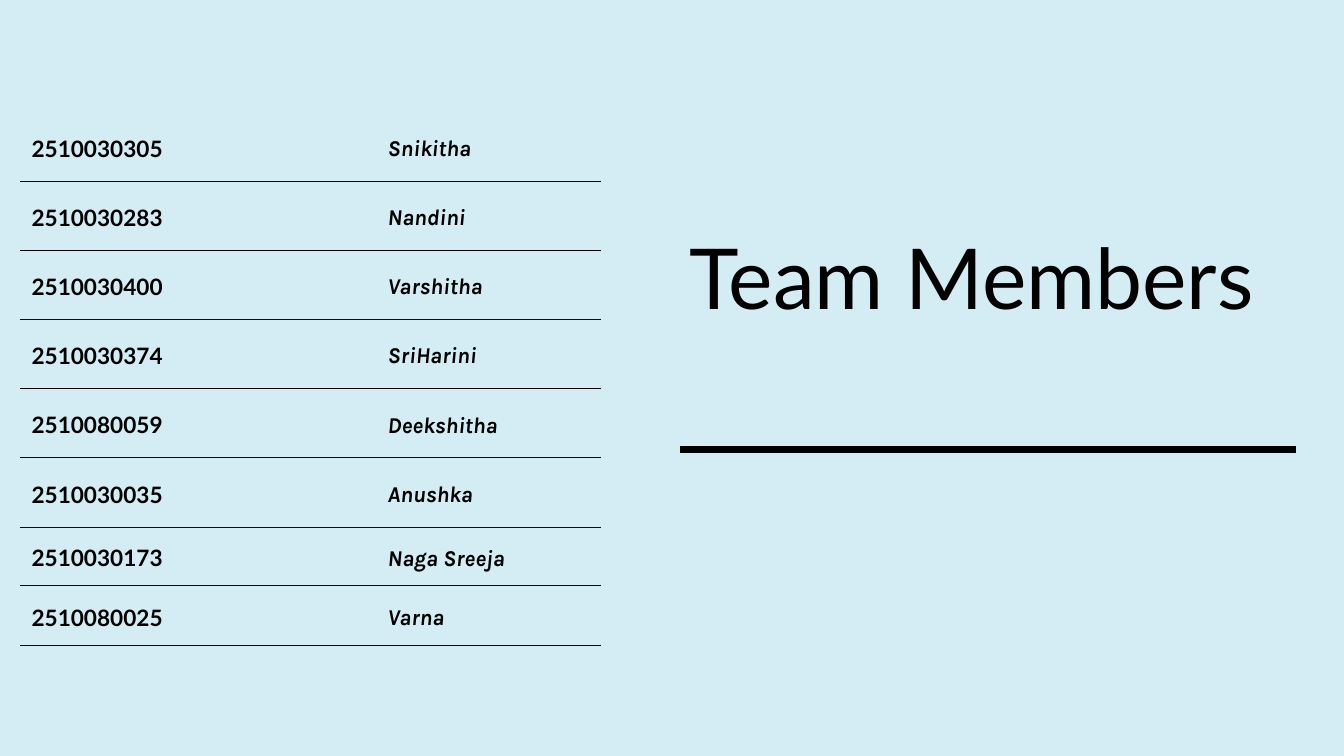
from lxml.etree import SubElement as Sub
from pptx import Presentation
from pptx.dml.color import RGBColor as Rgb
from pptx.enum.shapes import MSO_CONNECTOR as Conn
from pptx.enum.text import MSO_ANCHOR as Anchor, MSO_AUTO_SIZE as Auto, PP_ALIGN as Align
from pptx.oxml.ns import qn
from pptx.util import Emu, Pt

SCALE = 9144
INK = "000000"
TEAM = [
    ("2510030305", "Snikitha"),
    ("2510030283", "Nandini"),
    ("2510030400", "Varshitha"),
    ("2510030374", "SriHarini"),
    ("2510080059", "Deekshitha"),
    ("2510030035", "Anushka"),
    ("2510030173", "Naga Sreeja"),
    ("2510080025", "Varna"),
]
COLS = [530, 335]
ROWS = [103] * 6 + [87, 89]


def px(*sizes):
    """Turn px lengths into EMU."""
    return [Emu(size * SCALE) for size in sizes]


def paint(color, code):
    """Set a colour from a hex string."""
    color.rgb = Rgb.from_string(code)


def write(frame, text, font="Lato", size=24.2, lead=33.8, bold=False, italic=False):
    """Fill a text frame with one formatted paragraph."""
    para = frame.paragraphs[0]
    para.alignment = Align.LEFT
    para.line_spacing = Pt(lead)
    para.space_before = Pt(0)
    run = para.add_run()
    run.text = text
    face = run.font
    face.name, face.size, face.bold, face.italic = font, Pt(size), bold, italic
    paint(face.color, INK)


def pad(box, size):
    """Give a cell or text frame equal margins."""
    inset, = px(size)
    box.margin_left = box.margin_right = box.margin_top = box.margin_bottom = inset


def edge(cell, side, shown):
    """Draw or clear one border of a cell."""
    props = cell._tc.get_or_add_tcPr()
    line = Sub(props, qn(f"a:ln{side}"), w=str(Pt(0.6) if shown else 0))
    if shown:
        fill = Sub(line, qn("a:solidFill"))
        Sub(fill, qn("a:srgbClr"), val=INK)
    else:
        Sub(line, qn("a:noFill"))


def add_cell(cell, text, top, **style):
    """Format one table cell and write its text."""
    for side, shown in (("L", False), ("R", False), ("T", top), ("B", True)):
        edge(cell, side, shown)
    cell.fill.background()
    cell.vertical_anchor = Anchor.MIDDLE
    pad(cell, 17)
    write(cell.text_frame, text, bold=True, **style)


def add_team(slide):
    """Add the table of roll numbers and names."""
    box = px(30, 166, sum(COLS), sum(ROWS))
    table = slide.shapes.add_table(len(TEAM), len(COLS), *box).table
    table.first_row = table.horz_banding = False
    for col, width in zip(table.columns, px(*COLS)):
        col.width = width
    for row, height in zip(table.rows, px(*ROWS)):
        row.height = height
    for i, (roll, name) in enumerate(TEAM):
        add_cell(table.cell(i, 0), roll, i > 0)
        add_cell(table.cell(i, 1), name, i > 0, font="Karla", italic=True)


def add_title(slide, text):
    """Place and format the slide title."""
    title = slide.shapes.title
    title.left, title.top, title.width, title.height = px(1026, 335, 849, 300)
    frame = title.text_frame
    frame.word_wrap = True
    frame.auto_size = Auto.NONE
    frame.vertical_anchor = Anchor.TOP
    pad(frame, 0)
    write(frame, text, size=90, lead=108)


def add_rule(slide):
    """Add the heavy line under the title."""
    rule = slide.shapes.add_connector(Conn.STRAIGHT, *px(1012, 669, 1929, 669))
    rule.line.width = Pt(8.25)
    paint(rule.line.color, INK)
    Sub(rule._element.spPr, qn("a:effectLst"))


def main():
    """Build and save the slide."""
    deck = Presentation()
    deck.slide_width, deck.slide_height = px(2000, 1125)
    slide = deck.slides.add_slide(deck.slide_layouts[5])
    fill = slide.background.fill
    fill.solid()
    paint(fill.fore_color, "D4EDF4")
    add_team(slide)
    add_title(slide, "Team Members")
    add_rule(slide)
    deck.save("out.pptx")


if __name__ == "__main__":
    main()
